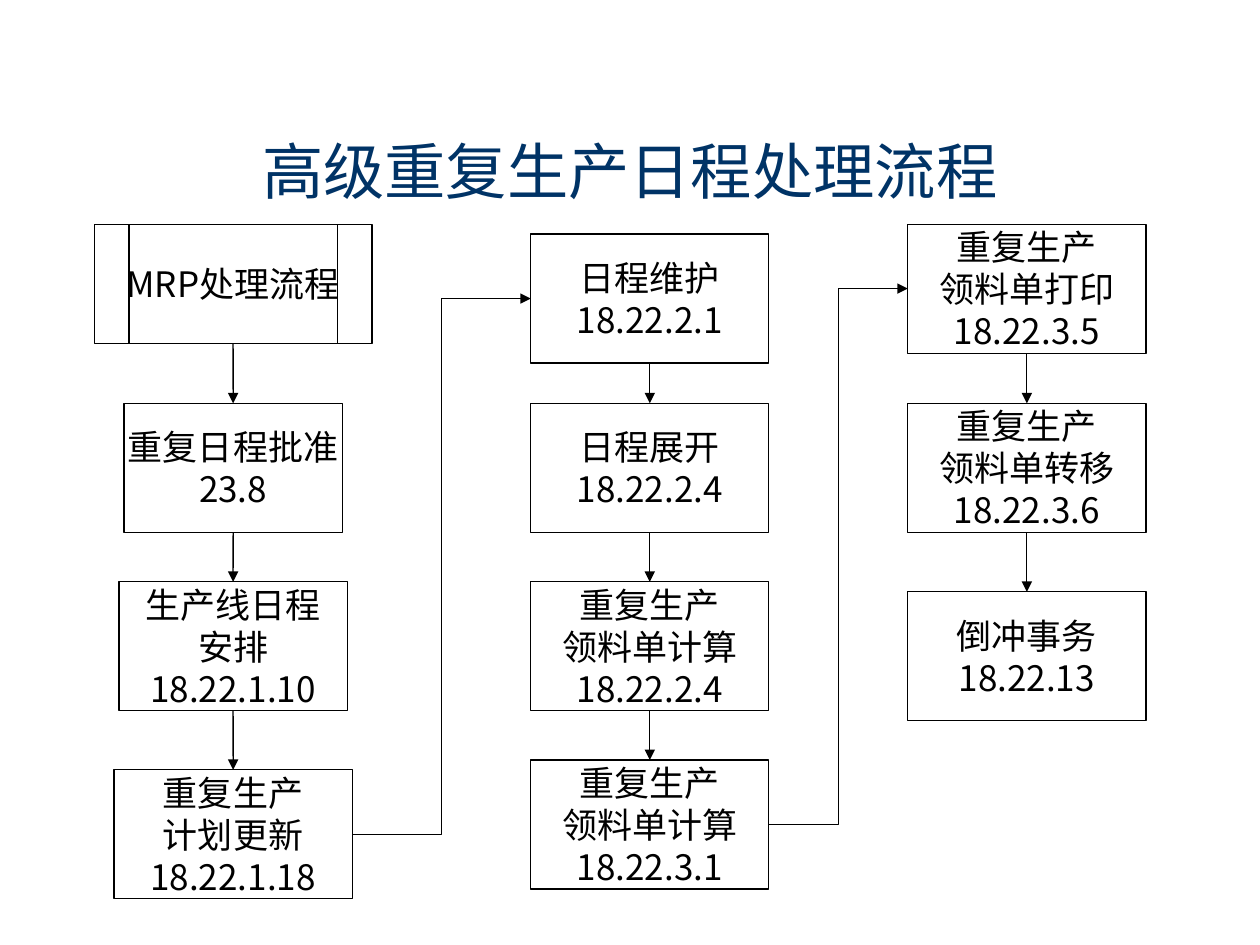
from dataclasses import dataclass
from itertools import pairwise

from pptx import Presentation
from pptx.dml.color import RGBColor
from pptx.enum.shapes import MSO_CONNECTOR as Link, MSO_SHAPE as Shape
from pptx.enum.text import MSO_ANCHOR as Anchor, PP_ALIGN as Align
from pptx.oxml.ns import qn
from pptx.util import Cm, Pt
from lxml.etree import SubElement


@dataclass(frozen=True)
class Theme:
    ink = RGBColor(0x00, 0x00, 0x00)
    title = RGBColor(0x00, 0x33, 0x66)
    title_font = "Montserrat"
    step_font = "Noto Sans CJK SC"
    title_size = Pt(35)
    step_size = Pt(20)
    line = Pt(0.75)


TITLE = "高级重复生产日程处理流程"
STEP_WIDTH, STEP_HEIGHT = 4.8, 2.6
PROCESS, PREDEFINED = Shape.FLOWCHART_PROCESS, Shape.FLOWCHART_PREDEFINED_PROCESS

# Each column: centre, then its steps as (top, lines, width, height, kind), in cm
COLUMNS = [
    (4.7, [
        (4.52, ["MRP处理流程"], 5.6, 2.4, PREDEFINED),
        (8.13, ["重复日程批准", "23.8"], 4.4, STEP_HEIGHT, PROCESS),
        (11.73, ["生产线日程", "安排", "18.22.1.10"], 4.6, STEP_HEIGHT, PROCESS),
        (15.52, ["重复生产", "计划更新", "18.22.1.18"], STEP_WIDTH, STEP_HEIGHT, PROCESS),
    ]),
    (13.1, [
        (4.72, ["日程维护", "18.22.2.1"], STEP_WIDTH, STEP_HEIGHT, PROCESS),
        (8.13, ["日程展开", "18.22.2.4"], STEP_WIDTH, STEP_HEIGHT, PROCESS),
        (11.73, ["重复生产", "领料单计算", "18.22.2.4"], STEP_WIDTH, STEP_HEIGHT, PROCESS),
        (15.32, ["重复生产", "领料单计算", "18.22.3.1"], STEP_WIDTH, STEP_HEIGHT, PROCESS),
    ]),
    (20.7, [
        (4.52, ["重复生产", "领料单打印", "18.22.3.5"], STEP_WIDTH, STEP_HEIGHT, PROCESS),
        (8.13, ["重复生产", "领料单转移", "18.22.3.6"], STEP_WIDTH, STEP_HEIGHT, PROCESS),
        (11.93, ["倒冲事务", "18.22.13"], STEP_WIDTH, STEP_HEIGHT, PROCESS),
    ]),
]
TOP, LEFT, BOTTOM, RIGHT = range(4)


def write(frame, lines, font, size, color):
    frame.vertical_anchor = Anchor.MIDDLE
    frame.text = "\n".join(lines)
    for para in frame.paragraphs:
        para.alignment = Align.CENTER
        para.font.name, para.font.size = font, size
        para.font.color.rgb = color


def add_step(page, center, top, lines, width, height, kind):
    step = page.shapes.add_shape(
        kind, Cm(center - width / 2), Cm(top), Cm(width), Cm(height))
    step.shadow.inherit = False
    step.fill.background()
    step.line.color.rgb = Theme.ink
    step.line.width = Theme.line
    step.text_frame.word_wrap = False
    write(step.text_frame, lines, Theme.step_font, Theme.step_size, Theme.ink)
    return step


def add_arrow(page, kind, start, start_side, end, end_side):
    arrow = page.shapes.add_connector(kind, 0, 0, 0, 0)
    arrow.begin_connect(start, start_side)
    arrow.end_connect(end, end_side)
    arrow.line.color.rgb = Theme.ink
    arrow.line.width = Theme.line
    properties = arrow._element.spPr
    SubElement(properties.find(qn("a:ln")), qn("a:tailEnd"), type="triangle")
    SubElement(properties, qn("a:effectLst"))


def main():
    deck = Presentation()
    deck.slide_width, deck.slide_height = Cm(25.4), Cm(19.05)
    page = deck.slides.add_slide(deck.slide_layouts[5])

    title = page.shapes.title
    title.left, title.top, title.width, title.height = map(Cm, (1.9, 1.83, 21.6, 3.18))
    write(title.text_frame, [TITLE], Theme.title_font, Theme.title_size, Theme.title)

    columns = [[add_step(page, center, *step) for step in steps]
               for center, steps in COLUMNS]
    for column in columns:
        for upper, lower in pairwise(column):
            add_arrow(page, Link.STRAIGHT, upper, BOTTOM, lower, TOP)
    for column, following in pairwise(columns):
        add_arrow(page, Link.ELBOW, column[-1], RIGHT, following[0], LEFT)

    deck.save("out.pptx")


if __name__ == "__main__":
    main()
